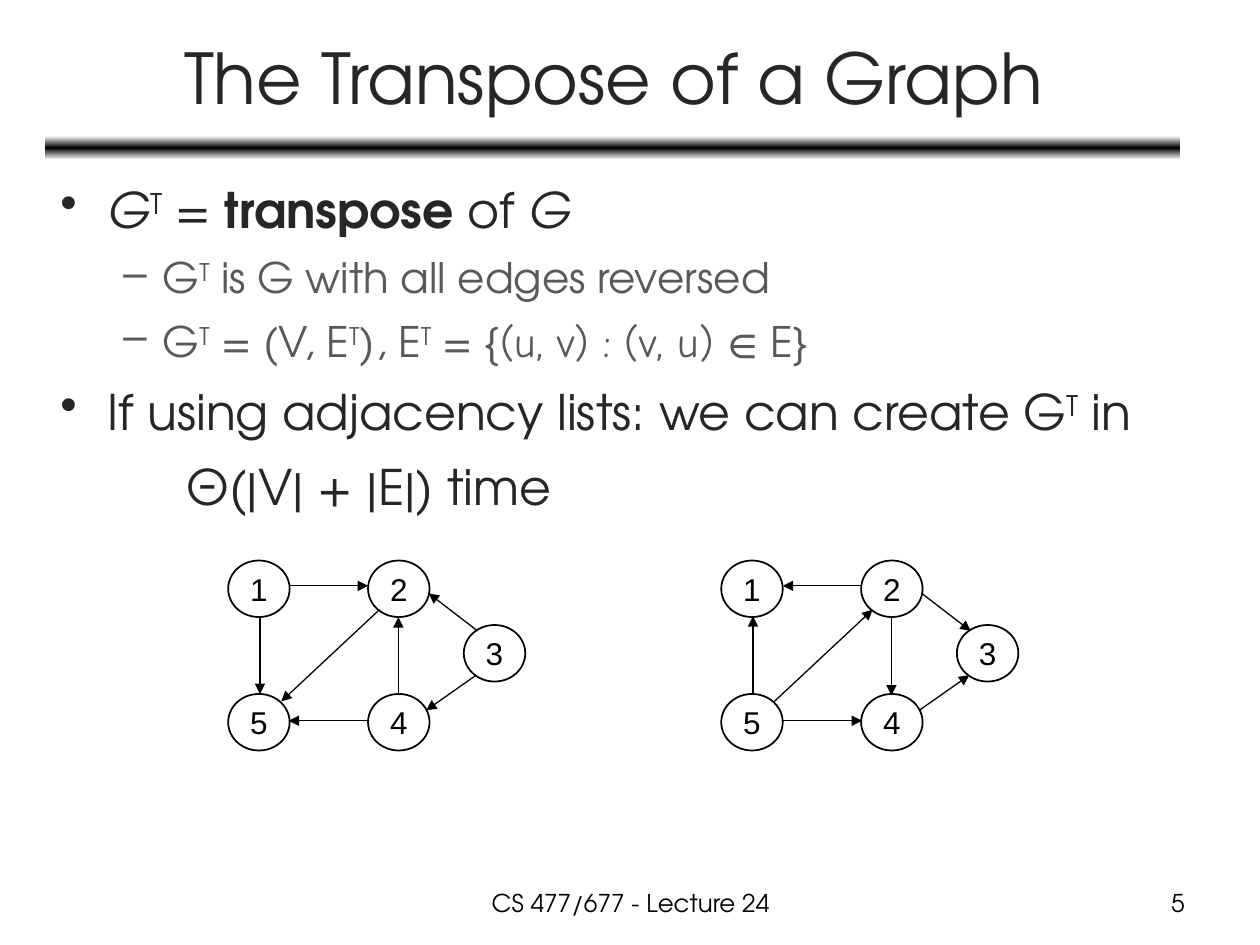
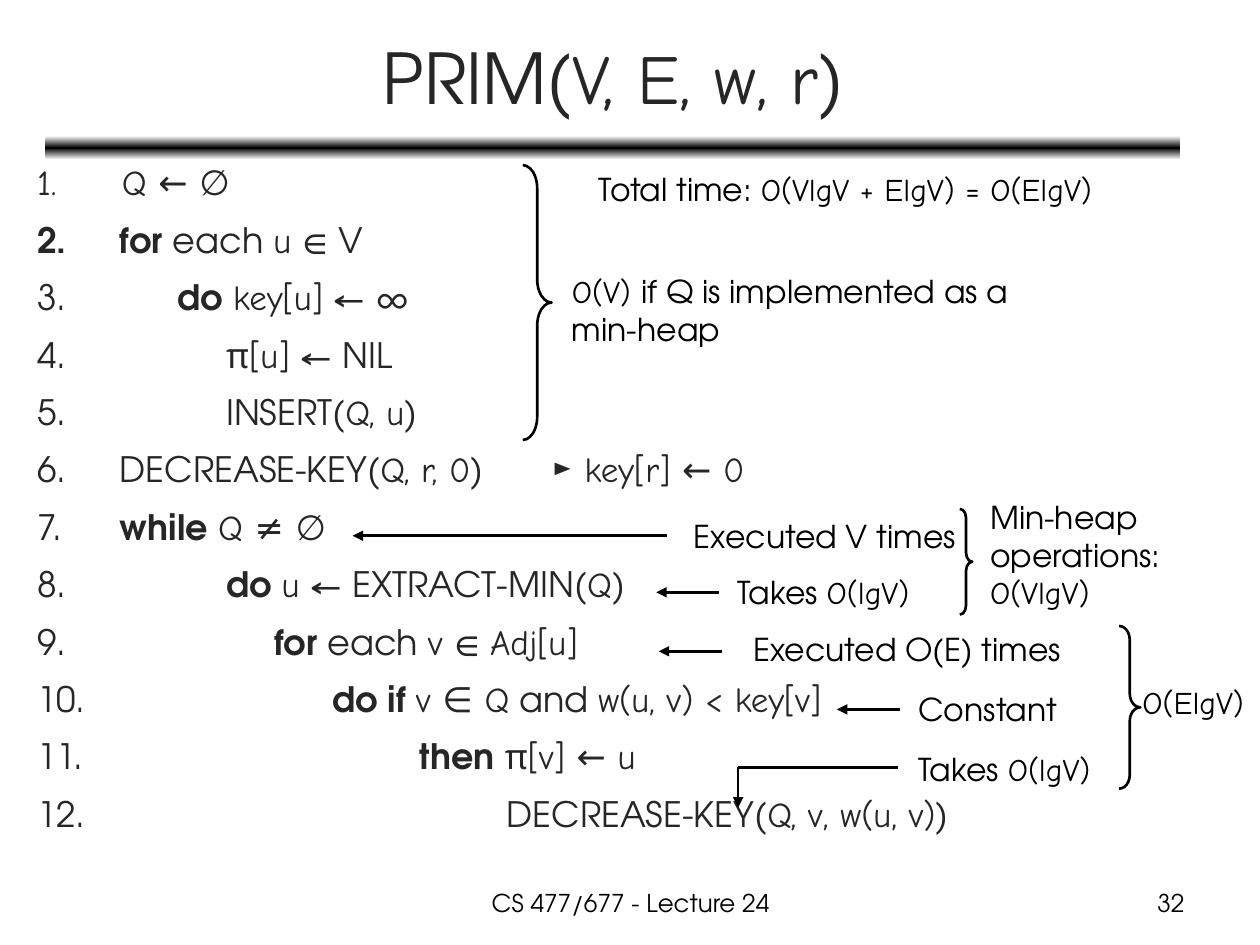
from lxml.etree import SubElement
from pptx import Presentation
from pptx.dml.color import RGBColor
from pptx.enum.shapes import MSO_CONNECTOR, MSO_SHAPE
from pptx.enum.text import MSO_ANCHOR, PP_ALIGN
from pptx.oxml.ns import qn
from pptx.util import Cm, Pt

BLACK = RGBColor(0, 0, 0)
WHITE = RGBColor(0xFF, 0xFF, 0xFF)
INK = RGBColor(0x26, 0x26, 0x26)
GRAY = RGBColor(0x59, 0x59, 0x59)
SANS, COMIC, ARIAL = "TeX Gyre Adventor", "Comic Neue", "Arial"
BLANK_LAYOUT = 6


def comic(text):
    return text, {"font": COMIC}


def bold(text):
    return text, {"bold": True}


def italic(text):
    return text, {"italic": True}


SUPER_T = ("T", {"baseline": 30})


def add_run(paragraph, text, size=18, font=SANS, color=BLACK,
            bold=False, italic=False, baseline=0):
    run = paragraph.add_run()
    run.text = text
    run.font.size = Pt(size)
    run.font.name = font
    run.font.color.rgb = color
    run.font.bold = bold
    run.font.italic = italic
    if baseline:
        run.font._element.set("baseline", str(baseline * 1000))


def write(frame, paragraphs, align=PP_ALIGN.LEFT, anchor=MSO_ANCHOR.TOP,
          wrap=True, **run_format):
    """Each paragraph is (runs, layout); a run is a string or (string, format)."""
    frame.word_wrap = wrap
    frame.vertical_anchor = anchor
    for index, (runs, layout) in enumerate(paragraphs):
        paragraph = frame.paragraphs[0] if index == 0 else frame.add_paragraph()
        paragraph.alignment = align
        base = {**run_format, **layout.get("format", {})}
        for run in runs:
            text, extra = (run, {}) if isinstance(run, str) else run
            add_run(paragraph, text, **{**base, **extra})
        if "spacing" in layout:
            paragraph.line_spacing = layout["spacing"]
            paragraph.space_before = Pt(0.2 * base["size"])
        properties = paragraph._p.get_or_add_pPr()
        properties.set("marL", str(Cm(layout.get("margin", 0))))
        properties.set("indent", str(-Cm(layout.get("hanging", 0))))
        if "bullet" in layout:
            tag, attribute, value = layout["bullet"]
            SubElement(properties, qn(tag)).set(attribute, value)


def add_text(slide, box, *paragraphs, **text_format):
    text_box = slide.shapes.add_textbox(*map(Cm, box))
    write(text_box.text_frame, paragraphs, **text_format)


def add_outline(shapes, preset, box, width):
    outline = shapes.add_shape(preset, *map(Cm, box))
    outline.shadow.inherit = False
    outline.fill.background()
    outline.line.color.rgb = BLACK
    outline.line.width = Pt(width)
    return outline


def add_line(shapes, start, end, width, arrow=True):
    line = shapes.add_connector(MSO_CONNECTOR.STRAIGHT, *map(Cm, start + end))
    line.line.color.rgb = BLACK
    line.line.width = Pt(width)
    if arrow:
        SubElement(line.line._get_or_add_ln(), qn("a:tailEnd")).set("type", "triangle")
    SubElement(line._element.spPr, qn("a:effectLst"))


def add_band(slide, box):
    band = slide.shapes.add_shape(MSO_SHAPE.ROUNDED_RECTANGLE, *map(Cm, box))
    band.shadow.inherit = False
    band.line.fill.background()
    band.fill.gradient()
    band.fill.gradient_angle = 90
    stops = band._element.spPr.find(".//" + qn("a:gsLst"))
    for stop in list(stops):
        stops.remove(stop)
    for position, color in ((0, WHITE), (50, BLACK), (100, WHITE)):
        stop = SubElement(stops, qn("a:gs"), pos=str(position * 1000))
        SubElement(stop, qn("a:srgbClr"), val=str(color))


def new_slide(deck, title, number):
    slide = deck.slides.add_slide(deck.slide_layouts[BLANK_LAYOUT])
    add_band(slide, (0.91, 2.74, 22.89, 0.48))
    add_text(slide, (0.94, 0.28, 22.86, 2.51), (title, {}), size=40, color=INK,
             align=PP_ALIGN.CENTER, anchor=MSO_ANCHOR.MIDDLE)
    add_text(slide, (8.69, 17.78, 8.05, 0.89), (["CS 477/677 - Lecture 24"], {}),
             size=14, align=PP_ALIGN.CENTER)
    add_text(slide, (18.21, 17.78, 5.92, 0.89), ([str(number)], {}),
             size=14, align=PP_ALIGN.RIGHT)
    return slide


# Offsets from the top left corner of the graph, in cm
NODES = {"1": (0, 0), "2": (2.82, 0), "3": (4.75, 1.3),
         "4": (2.82, 2.69), "5": (0, 2.69)}
EDGES = [
    ((1.24, 0.51), (2.82, 0.51)),   # 1 to 2
    ((0.64, 1.12), (0.64, 2.69)),   # 1 to 5
    ((3.05, 0.99), (1.07, 2.84)),   # 2 to 5
    ((5.03, 1.42), (4.04, 0.66)),   # 3 to 2
    ((5.0, 2.31), (3.99, 3.02)),    # 3 to 4
    ((3.43, 2.72), (3.43, 1.14)),   # 4 to 2
    ((2.84, 3.23), (1.22, 3.23)),   # 4 to 5
]


def draw_graph(slide, left, top, transposed=False):
    shapes = slide.shapes.add_group_shape().shapes
    for label, (x, y) in NODES.items():
        node = add_outline(shapes, MSO_SHAPE.OVAL, (left + x, top + y, 1.24, 1.14), 1)
        write(node.text_frame, [([label], {})], font=ARIAL, wrap=False,
              align=PP_ALIGN.CENTER, anchor=MSO_ANCHOR.MIDDLE)
    for edge in EDGES:
        start, end = [(left + x, top + y) for x, y in edge]
        if transposed:
            start, end = end, start
        add_line(shapes, start, end, 0.75)


def transpose_facts(slide, box):
    first = {"margin": 0.95, "hanging": 0.95, "spacing": 1.1,
             "bullet": ("a:buChar", "char", "•")}
    second = {"margin": 2.06, "hanging": 0.79, "spacing": 1.1,
              "bullet": ("a:buChar", "char", "–"),
              "format": {"size": 24, "color": GRAY}}
    continued = {"margin": 2.54, "spacing": 1.1}
    add_text(
        slide, box,
        ([italic("G"), SUPER_T, " = ", bold("transpose "), "of ", italic("G")], first),
        (["G", SUPER_T, " is G with all edges reversed"], second),
        (["G", SUPER_T, " = (V, E", SUPER_T, "), E", SUPER_T, " = {",
          comic("(u, v) : (v, u) "), "∈ E}"], second),
        (["If using adjacency lists: we can create G", SUPER_T, " in"], first),
        (["Θ(|V| + |E|) time"], continued),
        size=28, color=INK)


def transpose_slide(deck):
    slide = new_slide(deck, ["The Transpose of a Graph"], 5)
    transpose_facts(slide, (0.97, 3.38, 23.93, 7.7))
    draw_graph(slide, 4.6, 11.3)
    draw_graph(slide, 14.54, 11.3, transposed=True)


# Indent steps and runs of each line of the algorithm
PRIM_LINES = [
    (0, [comic(" Q ← ∅")]),
    (0, [bold(" for "), "each ", comic("u "), "∈ V"]),
    (6, [" ", bold("do "), comic("key[u]"), " ← ∞"]),
    (11, [" ", comic("π[u]"), " ← NIL"]),
    (11, [" INSERT(", comic("Q, u"), ")"]),
    (0, [" DECREASE-KEY(", comic("Q, r, 0"), ")"]),
    (0, [" ", bold("while "), comic("Q ≠ ∅")]),
    (11, [" ", bold("do "), comic("u"), " ← EXTRACT-MIN(", comic("Q"), ")"]),
    (16, [" ", bold("for "), "each ", comic("v "), "∈ ", comic("Adj[u]")]),
    (22, [" ", bold("do if "), comic("v ∈ Q"), " and ", comic("w(u, v) < key[v]")]),
    (31, [" ", bold("then "), comic("π[v] ← u")]),
    (40, [" DECREASE-KEY(", comic("Q, v, w(u, v)"), ")"]),
]
NUMBER_WIDTH, INDENT_STEP = 1.47, 0.195


def prim_listing(slide, box):
    lines = []
    for steps, runs in PRIM_LINES:
        margin = NUMBER_WIDTH + steps * INDENT_STEP
        lines.append((runs, {"margin": margin, "hanging": margin, "spacing": 1.2,
                             "bullet": ("a:buAutoNum", "type", "arabicPeriod")}))
    add_text(slide, box, *lines, size=20, color=INK)
    left, top = box[:2]
    add_text(slide, (left + 10.33, top + 2.99 + 2.95, 5.5, 1.1),
             (["► ", comic("key[r] ← 0")], {}), size=20, color=INK)


# Left, top, width, line count and paragraphs, in cm from the listing's corner
COST_NOTES = [
    (11.31, 0.35, 12.04, 1, [["Total time: ", comic("O(VlgV + ElgV) = O(ElgV)")]]),
    (10.78, 2.41, 9.37, 2, [[comic("O(V) "), "if Q is implemented as a min-heap"]]),
    (13.24, 7.34, 5.97, 1, [["Executed V times"]]),
    (14.11, 8.48, 4.9, 1, [["Takes ", comic("O(lgV)")]]),
    (19.21, 6.96, 4.57, 3, [["Min-heap operations:"], [comic("O(VlgV)")]]),
    (14.44, 9.62, 7.01, 1, [["Executed O(E) times"]]),
    (17.76, 10.84, 3.53, 1, [["Constant"]]),
    (17.76, 12.04, 4.39, 1, [["Takes ", comic("O(lgV)")]]),
    (22.28, 10.69, 3.0, 1, [[comic("O(ElgV)")]]),
]
COST_BRACES = [
    (10.04, 0.38, 0.58, 5.54, 0.805),
    (18.85, 7.31, 0.25, 2.13, 0.723),
    (22.06, 9.67, 0.43, 3.28, 0.644),
]
COST_ARROWS = [
    ((12.94, 7.85), (6.61, 7.85)),
    ((14.0, 8.99), (12.73, 8.99)),
    ((14.05, 10.18), (12.78, 10.18)),
    ((17.64, 11.35), (16.37, 11.35)),
    ((14.38, 12.52), (14.38, 13.33)),
]
ARROW_STEM = ((14.38, 12.52), (17.61, 12.52))


def cost_analysis(slide, left, top):
    for x, y, width, line_count, paragraphs in COST_NOTES:
        add_text(slide, (left + x, top + y, width, 0.25 + 0.76 * line_count),
                 *[(runs, {}) for runs in paragraphs])
    for x, y, width, height, curve in COST_BRACES:
        brace = add_outline(slide.shapes, MSO_SHAPE.RIGHT_BRACE,
                            (left + x, top + y, width, height), 1.5)
        brace.adjustments[0] = curve
    for ends in COST_ARROWS + [ARROW_STEM]:
        start, end = [(left + x, top + y) for x, y in ends]
        add_line(slide.shapes, start, end, 1.5, arrow=ends is not ARROW_STEM)


def prim_slide(deck):
    slide = new_slide(deck, ["PRIM(", comic("V, E, w, r"), ")"], 32)
    left, top = 0.5, 2.95
    prim_listing(slide, (left, top, 23.55, 15.54))
    cost_analysis(slide, left, top)


def main():
    deck = Presentation()
    deck.slide_width, deck.slide_height = Cm(25.4), Cm(19.05)
    transpose_slide(deck)
    prim_slide(deck)
    deck.save("out.pptx")


if __name__ == "__main__":
    main()
